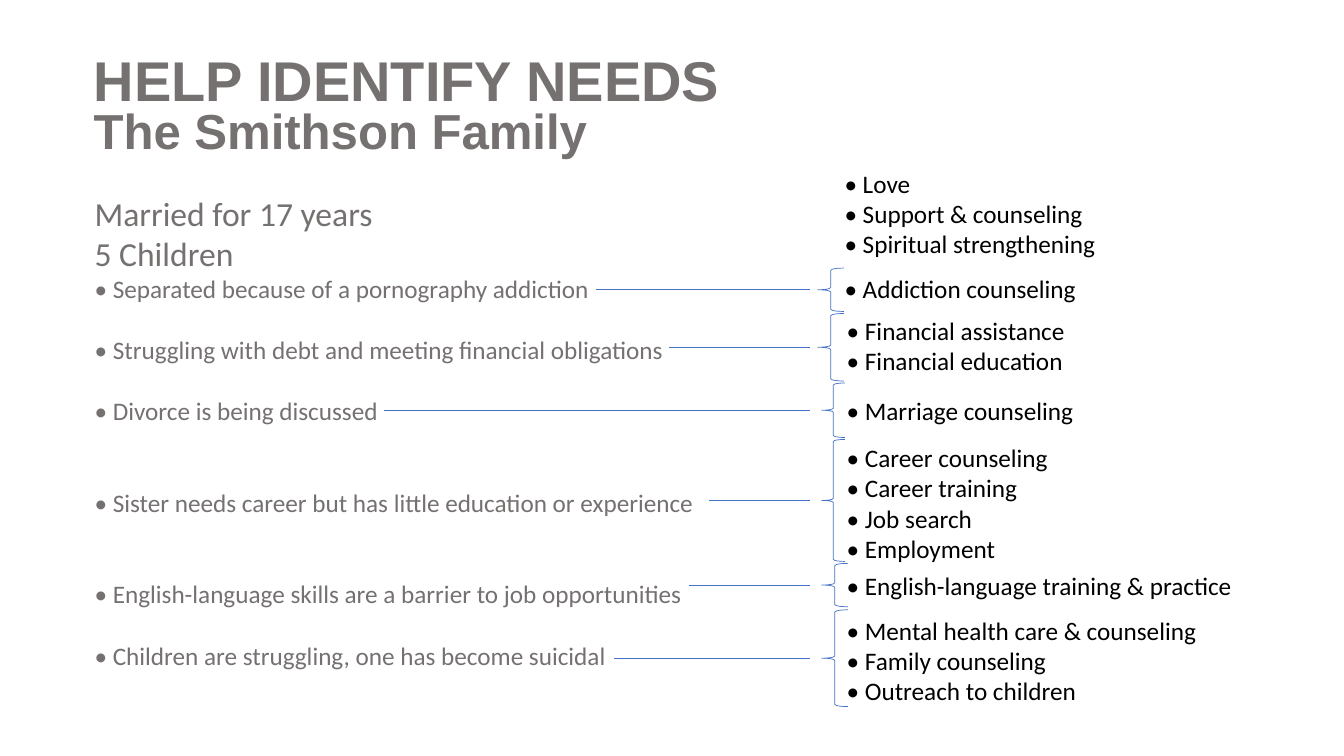
import pptx
import pptx.util
import pptx.dml.color
import pptx.enum.shapes
import pptx.enum.text
import pptx.oxml.ns
import lxml.etree

COLORS = {"grey": "767171", "black": "000000", "blue": "4472C4"}

prs = pptx.Presentation()
prs.slide_width = pptx.util.Inches(13.33)
prs.slide_height = pptx.util.Inches(7.5)
s = prs.slides.add_slide(prs.slide_layouts[6])

# Grid of 100 columns by 100 rows
COL = prs.slide_width / 100
ROW = prs.slide_height / 100
LINE_PT = 22  # height of one 18 pt line
LINE_ROWS = 4.07
PAD_ROWS = 1.33


def place(x, y, w, h):
    return int(x * COL), int(y * ROW), int(w * COL), int(h * ROW)


def add_text(box, lines, font="Calibri", color="grey", bold=False,
             spacing=None, anchor=pptx.enum.text.MSO_ANCHOR.TOP):
    """Each line is (text, size in points, space before in points)."""
    tf = s.shapes.add_textbox(*place(*box)).text_frame
    tf.word_wrap = True
    tf.vertical_anchor = anchor
    for i, (text, size, before) in enumerate(lines):
        p = tf.paragraphs[0] if i == 0 else tf.add_paragraph()
        if before:
            p.space_before = pptx.util.Pt(before)
        if spacing:
            p.line_spacing = spacing
        r = p.add_run()
        r.text = text
        r.font.name = font
        r.font.size = pptx.util.Pt(size)
        r.font.bold = bold
        r.font.color.rgb = pptx.dml.color.RGBColor.from_string(COLORS[color])


# Title
add_text((6.23, 5.87, 55.5, 15.87),
         [("HELP IDENTIFY NEEDS", 40, 0), ("The Smithson Family", 35.1, 0)],
         font="Arial", bold=True, spacing=0.8,
         anchor=pptx.enum.text.MSO_ANCHOR.BOTTOM)

# Family situation
add_text((6.3, 24.8, 46.4, 64.67), [
    ("Married for 17 years", 24, 0),
    ("5 Children", 24, 0),
    ("• Separated because of a pornography addiction", 18, 0),
    ("• Struggling with debt and meeting financial obligations", 18, LINE_PT),
    ("• Divorce is being discussed", 18, LINE_PT),
    ("• Sister needs career but has little education or experience", 18, 2 * LINE_PT),
    ("• English-language skills are a barrier to job opportunities", 18, 2 * LINE_PT),
    ("• Children are struggling, one has become suicidal", 18, LINE_PT),
])

# Needs: left, top, width of the text, then its lines
needs = [
    (62.1, 21.6, 21, ["Love", "Support & counseling", "Spiritual strengthening"]),
    (62.1, 35.47, 18.98, ["Addiction counseling"]),
    (62.26, 41.07, 17.93, ["Financial assistance", "Financial education"]),
    (62.26, 51.6, 18.53, ["Marriage counseling"]),
    (62.26, 57.87, 16.65, ["Career counseling", "Career training",
                           "Job search", "Employment"]),
    (62.26, 74.8, 30.53, ["English-language training & practice"]),
    (62.26, 80.67, 30.53, ["Mental health care & counseling",
                           "Family counseling", "Outreach to children"]),
]
for x, y, w, items in needs:
    add_text((x, y, w, PAD_ROWS + LINE_ROWS * len(items)),
             [("• " + item, 18, 0) for item in items], color="black")

# Braces, each with a line level with its middle
blue = pptx.dml.color.RGBColor.from_string(COLORS["blue"])
LINE_END = 60.27
braces = [  # left, top, width, height, start of line
    (60.84, 35.47, 1.95, 5.73, 44.34),
    (60.84, 41.47, 1.95, 8.93, 49.81),
    (61.14, 50.67, 1.73, 7.2, 28.58),
    (61.14, 58.13, 1.73, 16.13, 52.74),
    (61.14, 74.53, 1.95, 5.73, 51.24),
    (61.14, 80.67, 1.95, 12.8, 45.69),
]
for x, y, w, h, start in braces:
    brace = s.shapes.add_shape(pptx.enum.shapes.MSO_SHAPE.LEFT_BRACE,
                               *place(x, y, w, h))
    brace.shadow.inherit = False
    brace.fill.background()
    middle = y + h / 2
    link = s.shapes.add_connector(pptx.enum.shapes.MSO_CONNECTOR.STRAIGHT,
                                  *place(start, middle, LINE_END, middle))
    for sp in (brace, link):
        sp.line.color.rgb = blue
        sp.line.width = pptx.util.Pt(0.5)
    lxml.etree.SubElement(link._element.spPr, pptx.oxml.ns.qn("a:effectLst"))

prs.save("out.pptx")
